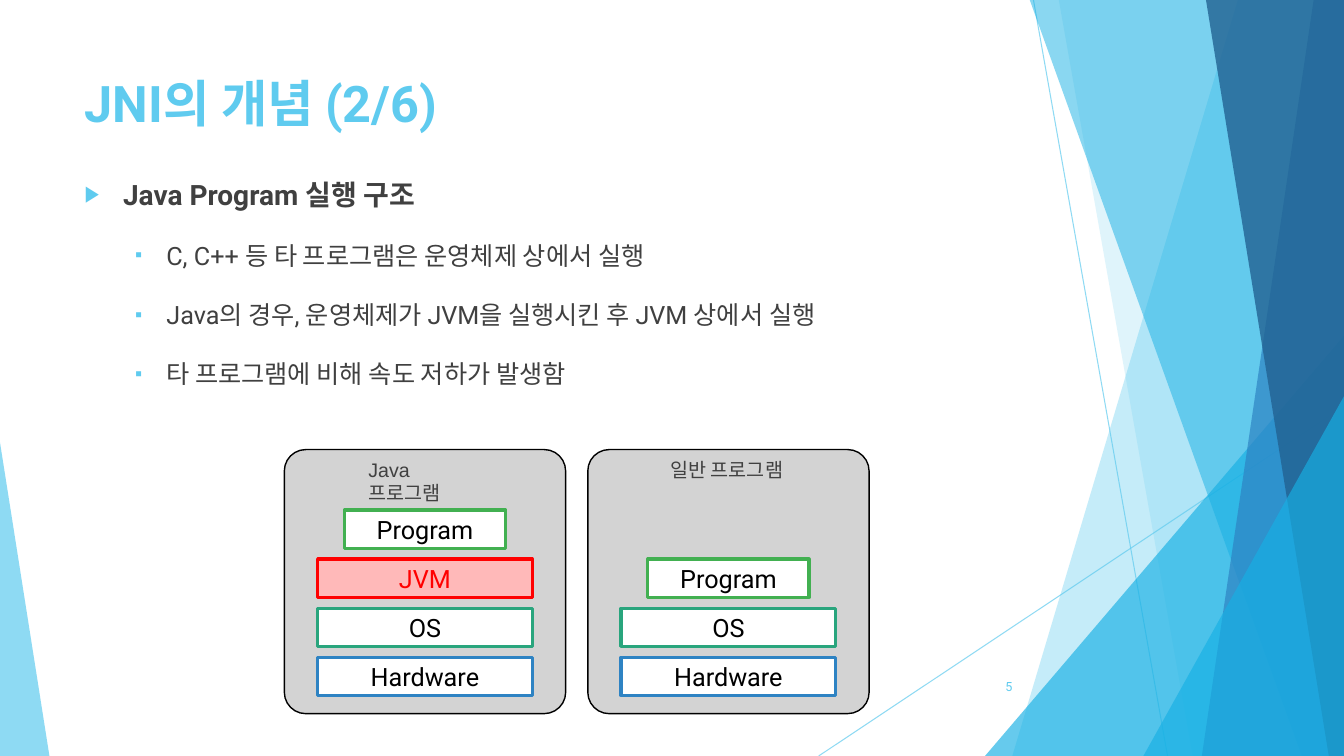
from dataclasses import dataclass

import lxml.etree
import pptx
import pptx.dml.color
import pptx.enum.shapes
import pptx.enum.text
import pptx.oxml.ns
import pptx.util

Inches = pptx.util.Inches
Pt = pptx.util.Pt
qn = pptx.oxml.ns.qn
SHAPE = pptx.enum.shapes.MSO_SHAPE
ALIGN = pptx.enum.text.PP_ALIGN
ANCHOR = pptx.enum.text.MSO_ANCHOR


@dataclass(frozen=True)
class Theme:
    accent: str = "5FCBEF"
    cyan: str = "17B0E4"
    blue: str = "2E83C3"
    navy: str = "226292"
    text: str = "404040"
    black: str = "000000"
    white: str = "FFFFFF"
    panel: str = "D3D3D3"
    green: str = "42B051"
    teal: str = "29A57D"
    red: str = "FF0000"
    pink: str = "FFB9B9"
    font: str = "Roboto"
    heading_font: str = "Arial"
    title_size: int = 36
    topic_size: int = 20
    body_size: int = 18
    heading_size: int = 14
    number_size: int = 9


THEME = Theme()


def rgb(color):
    return pptx.dml.color.RGBColor.from_string(color)


def set_alpha(shape, percent):
    for color in shape.element.spPr.iter(qn("a:srgbClr")):
        lxml.etree.SubElement(color, qn("a:alpha"), val=str(percent * 1000))


def write(paragraph, text, size, color=THEME.text, font=THEME.font, bold=False, align=ALIGN.LEFT):
    paragraph.alignment = align
    run = paragraph.add_run()
    run.text = text
    run.font.size = Pt(size)
    run.font.name = font
    run.font.bold = bold
    run.font.color.rgb = rgb(color)


def place(shape, left, top, width, height):
    shape.left, shape.top = Inches(left), Inches(top)
    shape.width, shape.height = Inches(width), Inches(height)


def paint(shape, fill, line=None, width=1.0):
    shape.shadow.inherit = False
    shape.fill.solid()
    shape.fill.fore_color.rgb = rgb(fill)
    if line:
        shape.line.color.rgb = rgb(line)
        shape.line.width = Pt(width)
    else:
        shape.line.fill.background()


def add_box(slide, kind, box, fill, line=None, width=1.0, adjustment=None):
    shape = slide.shapes.add_shape(kind, *map(Inches, box))
    paint(shape, fill, line, width)
    if adjustment is not None:
        shape.adjustments[0] = adjustment
    return shape


def add_text_box(slide, box, text, anchor=ANCHOR.TOP, **text_format):
    frame = slide.shapes.add_textbox(*map(Inches, box)).text_frame
    frame.word_wrap = True
    frame.vertical_anchor = anchor
    write(frame.paragraphs[0], text, **text_format)


def add_thin_line(slide, start, end):
    line = slide.shapes.add_connector(
        pptx.enum.shapes.MSO_CONNECTOR.STRAIGHT, *map(Inches, start + end))
    line.line.color.rgb = rgb(THEME.accent)
    line.line.width = Pt(0.75)
    set_alpha(line, 70)
    lxml.etree.SubElement(line.element.spPr, qn("a:effectLst"))


def add_facet(slide, top_left, bottom_left, right, bottom, color, alpha):
    """Fill the area between a slanted left edge and the slide's right edge."""
    top = -0.01
    corners = [(top_left, top), (right, top), (right, bottom), (bottom_left, bottom)]
    points = [(Inches(x), Inches(y)) for x, y in corners]
    builder = slide.shapes.build_freeform(*points[0], scale=1.0)
    builder.add_line_segments(points[1:], close=True)
    facet = builder.convert_to_shape()
    paint(facet, color)
    set_alpha(facet, alpha)


def add_corner_triangle(slide, width, height, right, bottom, color, alpha, apex=1):
    box = (right - width, bottom - height, width, height)
    triangle = add_box(slide, SHAPE.ISOSCELES_TRIANGLE, box, color, adjustment=apex)
    set_alpha(triangle, alpha)


def add_decoration(slide, width, height):
    add_thin_line(slide, (10.25, 0), (11.58, height))
    add_thin_line(slide, (width, 4.03), (8.12, height))
    add_facet(slide, 12.28, 10.04, width, height, THEME.accent, 36)
    add_facet(slide, 10.5, 11.83, width, height, THEME.accent, 20)
    add_corner_triangle(slide, 3.56, 4.17, width, height, THEME.cyan, 66)
    add_facet(slide, 10.21, 12.91, width, height, THEME.cyan, 50)
    add_facet(slide, 13.03, 11.92, width, height, THEME.blue, 70)
    add_facet(slide, 11.96, 13.18, width, height, THEME.navy, 80)
    add_corner_triangle(slide, 1.99, 3.57, width, height, THEME.cyan, 66)
    add_corner_triangle(slide, 0.49, 3.11, 0.49, height, THEME.accent, 70, apex=0)


def prepare_placeholder(placeholder, box):
    place(placeholder, *box)
    frame = placeholder.text_frame
    frame.auto_size = pptx.enum.text.MSO_AUTO_SIZE.NONE
    frame.word_wrap = True
    frame.vertical_anchor = ANCHOR.TOP
    return frame


def add_title(slide, box, text):
    frame = prepare_placeholder(slide.shapes.title, box)
    write(frame.paragraphs[0], text, THEME.title_size, THEME.accent, bold=True)


def set_bullet(paragraph, character, margin, hanging):
    properties = paragraph._p.get_or_add_pPr()
    properties.set("marL", str(Inches(margin)))
    properties.set("indent", str(-Inches(hanging)))
    color = lxml.etree.SubElement(properties, qn("a:buClr"))
    lxml.etree.SubElement(color, qn("a:srgbClr"), val=THEME.accent)
    lxml.etree.SubElement(properties, qn("a:buSzPct"), val="80000")
    lxml.etree.SubElement(properties, qn("a:buFont"), typeface="Arial")
    lxml.etree.SubElement(properties, qn("a:buChar"), char=character)


def add_body(slide, box, topic, details):
    frame = prepare_placeholder(slide.placeholders[1], box)
    for index, text in enumerate([topic] + details):
        paragraph = frame.add_paragraph() if index else frame.paragraphs[0]
        if index:
            paragraph.level = 1
            set_bullet(paragraph, "▪", 0.81, 0.31)
        else:
            set_bullet(paragraph, "▶", 0.38, 0.38)
        paragraph.line_spacing = 1.5
        paragraph.space_before = Pt(10 if index else 0)
        size = THEME.body_size if index else THEME.topic_size
        write(paragraph, text, size, bold=index == 0)


def add_stack_panel(slide, box, heading, heading_width, layers):
    """Draw a panel whose layers are piled up from the bottom."""
    left, top, width, height = box
    add_box(slide, SHAPE.ROUNDED_RECTANGLE, box, THEME.panel, THEME.black, adjustment=0.081)
    for index, (text, layer_width, fill, line, color) in enumerate(layers):
        layer_box = (left + (width - layer_width) / 2, top + height - 0.56 - index * 0.487,
                     layer_width, 0.38)
        layer = add_box(slide, SHAPE.RECTANGLE, layer_box, fill, line, 2.25)
        layer.text_frame.vertical_anchor = ANCHOR.MIDDLE
        write(layer.text_frame.paragraphs[0], text, THEME.body_size, color, align=ALIGN.CENTER)
    heading_box = (left + (width - heading_width) / 2, top + 0.03, heading_width, 0.29)
    add_text_box(slide, heading_box, heading, size=THEME.heading_size, font=THEME.heading_font)


def main():
    presentation = pptx.Presentation()
    width, height = 13.33, 7.5
    presentation.slide_width, presentation.slide_height = Inches(width), Inches(height)
    slide = presentation.slides.add_slide(presentation.slide_layouts[1])

    add_decoration(slide, width, height)
    add_title(slide, (0.74, 0.67, 9.4, 1.44), "JNI의 개념 (2/6)")
    add_body(slide, (0.74, 1.54, 9.72, 2.92), "Java Program 실행 구조", [
        "C, C++ 등 타 프로그램은 운영체제 상에서 실행",
        "Java의 경우, 운영체제가 JVM을 실행시킨 후 JVM 상에서 실행",
        "타 프로그램에 비해 속도 저하가 발생함",
    ])

    hardware = ("Hardware", 2.13, THEME.white, THEME.blue, THEME.black)
    system = ("OS", 2.13, THEME.white, THEME.teal, THEME.black)
    machine = ("JVM", 2.13, THEME.pink, THEME.red, THEME.red)
    program = ("Program", 1.6, THEME.white, THEME.green, THEME.black)
    add_stack_panel(slide, (2.82, 4.46, 2.79, 2.62), "Java 프로그램", 1.32,
                    [hardware, system, machine, program])
    add_stack_panel(slide, (5.83, 4.46, 2.79, 2.62), "일반 프로그램", 1.35,
                    [hardware, system, program])

    add_text_box(slide, (9.39, 6.61, 0.75, 0.4), "5", ANCHOR.MIDDLE,
                 size=THEME.number_size, color=THEME.accent, align=ALIGN.RIGHT)
    presentation.save("out.pptx")


if __name__ == "__main__":
    main()
